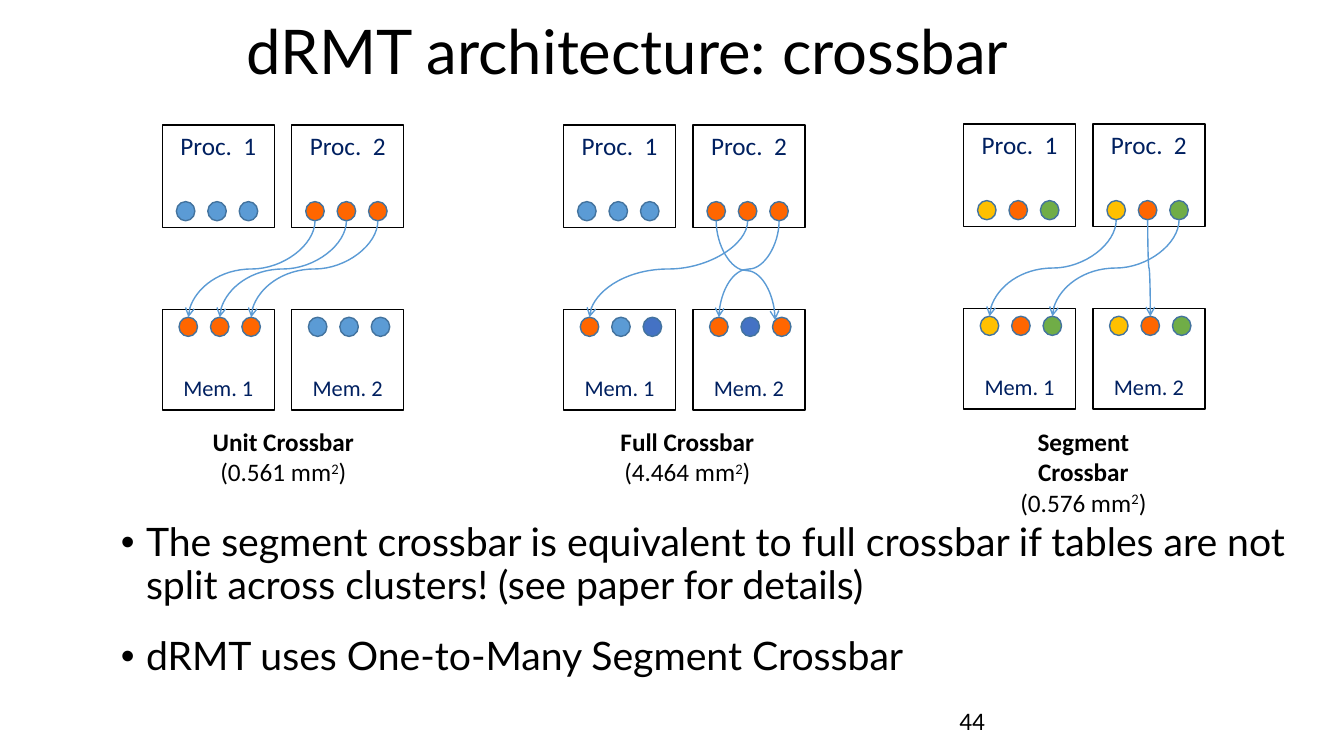
from dataclasses import dataclass

from lxml import etree
from pptx import Presentation
from pptx import util as u
from pptx.dml import color
from pptx.enum import shapes, text
from pptx.oxml import ns

Pt = u.Pt


@dataclass(frozen=True)
class Theme:
    """Colours, fonts and type sizes of the slide."""
    ink: str = "000000"
    label: str = "002060"
    link: str = "5B9BD5"
    dot_edge: str = "43739E"
    heading_font: str = "Lato"
    diagram_font: str = "Calibri"
    title_size: int = 44
    body_size: int = 28
    text_size: int = 18
    memory_size: int = 16


THEME = Theme()
DOTS = {"b": "5B9BD5", "i": "4472C4", "o": "FF6600", "y": "FFC000", "g": "70AD47"}
CLUSTER_W, CLUSTER_STEP = 80, 92.4
PROC_H, MEM_TOP, MEM_H = 73.5, 131.8, 72
DOT_W, DOT_H, DOT_STEP = 13.2, 13.7, 22.45
TOP_SITE, TOP_LEFT_SITE, BOTTOM_SITE = 0, 1, 4
CAPTION_TOP, CAPTION_W, CAPTION_H = 301, 148.2, 51

PANELS = [
    dict(left=116, top=89.2, caption_left=128.3, name="Unit Crossbar", area="0.561",
         processors=["bbb", "ooo"], memories=["ooo", "bbb"],
         links=[(0, 0, 0, TOP_SITE), (1, 0, 1, TOP_SITE), (2, 0, 2, TOP_SITE)]),
    dict(left=402.6, top=89.2, caption_left=416.9, name="Full Crossbar", area="4.464",
         processors=["bbb", "ooo"], memories=["obi", "oio"],
         links=[(0, 1, 2, TOP_LEFT_SITE), (1, 0, 0, TOP_SITE), (2, 1, 0, TOP_SITE)]),
    dict(left=688.3, top=88.5, caption_left=699.8, name="Segment Crossbar", area="0.576",
         processors=["yog", "yog"], memories=["yog", "yog"],
         links=[(0, 0, 0, TOP_SITE), (1, 1, 1, TOP_SITE), (2, 0, 2, TOP_SITE)]),
]
BULLETS = [
    ("The segment crossbar is equivalent to full crossbar if tables are not "
     "split across clusters! (see paper for details)", 10),
    ("dRMT uses One-to-Many Segment Crossbar", 21),
]


def rgb(value):
    """Turn a hex string into a colour."""
    return color.RGBColor.from_string(value)


def assign(target, **values):
    """Set every given attribute on the target."""
    for key, value in values.items():
        setattr(target, key, value)


def write(paragraph, words, size, font=THEME.diagram_font, ink=THEME.ink, bold=False):
    """Add a formatted run to a paragraph and return it."""
    run = paragraph.add_run()
    run.text = words
    assign(run.font, size=Pt(size), name=font, bold=bold)
    run.font.color.rgb = rgb(ink)
    return run


def outlined(parent, kind, box, edge, fill=None):
    """Add a preset shape with a one-point outline."""
    shape = parent.add_shape(kind, *map(Pt, box))
    shape.shadow.inherit = False
    shape.line.width = Pt(1)
    shape.line.color.rgb = rgb(edge)
    if fill:
        shape.fill.solid()
        shape.fill.fore_color.rgb = rgb(fill)
    else:
        shape.fill.background()
    return shape


def text_area(parent, box, **frame_format):
    """Add a wrapping text box and return its text frame."""
    frame = parent.add_textbox(*map(Pt, box)).text_frame
    assign(frame, word_wrap=True, **frame_format)
    return frame


def dot_row(parent, left, top, codes):
    """Draw a row of dots, one for each colour code."""
    return [outlined(parent, shapes.MSO_SHAPE.OVAL,
                     (left + i * DOT_STEP, top, DOT_W, DOT_H), THEME.dot_edge, DOTS[code])
            for i, code in enumerate(codes)]


def cluster(parent, box, label, size, dots, dot_offset, frame_format):
    """Draw a processor or memory box with its label and dots."""
    left, top = box[:2]
    frame = outlined(parent, shapes.MSO_SHAPE.RECTANGLE, box, THEME.ink).text_frame
    assign(frame, word_wrap=True, **frame_format)
    paragraph = frame.paragraphs[0]
    paragraph.alignment = text.PP_ALIGN.CENTER
    write(paragraph, label, size, ink=THEME.label)
    return dot_row(parent, left + dot_offset[0], top + dot_offset[1], dots)


def curved_link(parent, source, target, site):
    """Join the bottom of a processor dot to a memory dot with a curved arrow."""
    inset = 0.1464 if site == TOP_LEFT_SITE else 0
    x1, y1 = source.left + source.width // 2, source.top + source.height
    x2 = target.left + int(target.width * (inset or 0.5))
    y2 = target.top + int(target.height * inset)
    mid_x, mid_y = (x1 + x2) // 2, (y1 + y2) // 2
    half_w, half_h = (y2 - y1) // 2, abs(x2 - x1) // 2
    side = 1 if x2 > x1 else -1
    link = parent.add_connector(
        shapes.MSO_CONNECTOR.CURVE, mid_x + side * half_w, mid_y - half_h,
        mid_x - side * half_w, mid_y + half_h)
    link.line.width = Pt(1)
    link.line.color.rgb = rgb(THEME.link)
    properties = link._element.spPr
    properties.find(ns.qn("a:xfrm")).set("rot", "16200000" if side > 0 else "5400000")
    etree.SubElement(link.line._get_or_add_ln(), ns.qn("a:tailEnd"), type="arrow")
    etree.SubElement(properties, ns.qn("a:effectLst"))
    joints = link._element.find(".//" + ns.qn("p:cNvCxnSpPr"))
    for tag, dot, place in (("a:stCxn", source, BOTTOM_SITE), ("a:endCxn", target, site)):
        etree.SubElement(joints, ns.qn(tag), id=str(dot.shape_id), idx=str(place))


def caption(parent, box, name, area):
    """Write a crossbar name above its area."""
    frame = text_area(parent, box, auto_size=text.MSO_AUTO_SIZE.SHAPE_TO_FIT_TEXT)
    heading, measure = frame.paragraphs[0], frame.add_paragraph()
    for paragraph in (heading, measure):
        paragraph.alignment = text.PP_ALIGN.CENTER
    write(heading, name, THEME.text_size, bold=True)
    write(measure, f"({area} mm", THEME.text_size)
    exponent = write(measure, "2", THEME.text_size)
    exponent.font._element.set("baseline", "30000")
    write(measure, ")", THEME.text_size)


def crossbar(slide, left, top, caption_left, name, area, processors, memories, links):
    """Draw one crossbar panel as a group."""
    panel = slide.shapes.add_group_shape().shapes
    memory_format = dict(vertical_anchor=text.MSO_ANCHOR.BOTTOM, margin_left=0,
                         margin_right=0, margin_top=0, margin_bottom=Pt(6.7))
    sources, targets = [], []
    for i, (processor, memory) in enumerate(zip(processors, memories)):
        x = left + i * CLUSTER_STEP
        sources.append(cluster(
            panel, (x, top, CLUSTER_W, PROC_H), f"Proc.  {i + 1}", THEME.text_size,
            processor, (10, 54.8), dict(vertical_anchor=text.MSO_ANCHOR.TOP)))
        targets.append(cluster(
            panel, (x, top + MEM_TOP, CLUSTER_W, MEM_H), f"Mem. {i + 1}",
            THEME.memory_size, memory, (11.9, 5.6), memory_format))
    for port, memory, slot, site in links:
        curved_link(panel, sources[1][port], targets[memory][slot], site)
    caption(panel, (caption_left, CAPTION_TOP, CAPTION_W, CAPTION_H), name, area)


def title(slide, box):
    """Write the slide title."""
    frame = text_area(slide.shapes, box, vertical_anchor=text.MSO_ANCHOR.MIDDLE)
    paragraph = frame.paragraphs[0]
    assign(paragraph, alignment=text.PP_ALIGN.CENTER, line_spacing=0.9)
    write(paragraph, "dRMT architecture: crossbar", THEME.title_size, THEME.heading_font)


def takeaways(slide, box):
    """Write the bulleted conclusions."""
    frame = text_area(slide.shapes, box)
    for i, (words, gap) in enumerate(BULLETS):
        paragraph = frame.add_paragraph() if i else frame.paragraphs[0]
        assign(paragraph, line_spacing=0.9, space_before=Pt(gap))
        layout = paragraph._p.get_or_add_pPr()
        layout.set("marL", str(Pt(18)))
        layout.set("indent", str(-Pt(18)))
        etree.SubElement(layout, ns.qn("a:buFont"), typeface="Arial")
        etree.SubElement(layout, ns.qn("a:buChar"), char="•")
        write(paragraph, words, THEME.body_size, THEME.heading_font)


def page_number(slide, box):
    """Write the page number."""
    write(text_area(slide.shapes, box).paragraphs[0], "44", THEME.text_size)


def main():
    """Build and save the slide."""
    deck = Presentation()
    assign(deck, slide_width=Pt(960), slide_height=Pt(540))
    slide = deck.slides.add_slide(deck.slide_layouts[6])
    title(slide, (34.5, 0.7, 828, 76.3))
    takeaways(slide, (79.2, 370, 853.2, 172.8))
    for panel in PANELS:
        crossbar(slide, **panel)
    page_number(slide, (678.2, 500.4, 216, 28.8))
    deck.save("out.pptx")


if __name__ == "__main__":
    main()
